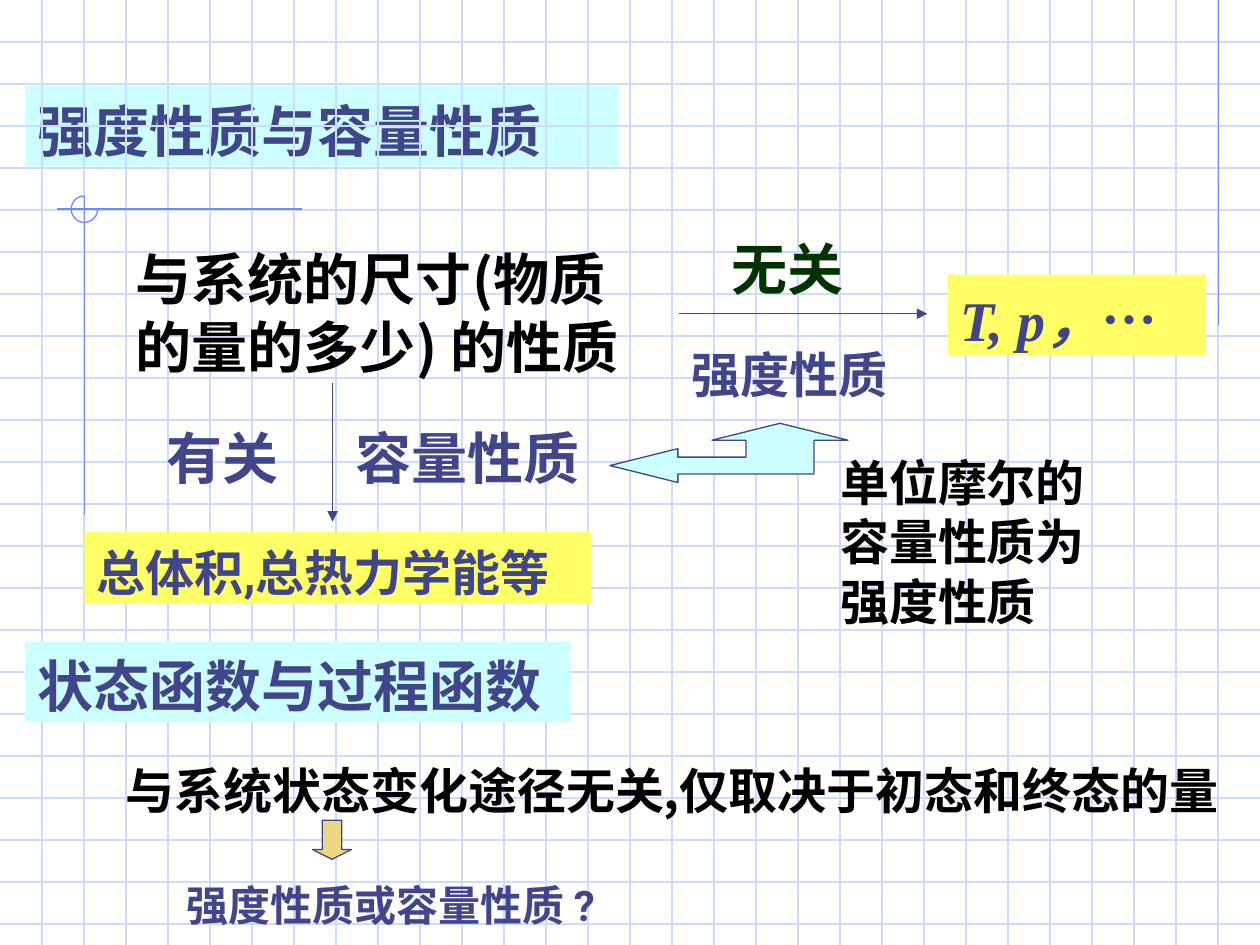
from lxml import etree
from pptx import Presentation
from pptx import util as u
from pptx.dml.color import RGBColor
from pptx.enum import lang, shapes, text
from pptx.oxml import ns

Inches, Pt = u.Inches, u.Pt
COLORS = {"ink": "40458C", "black": "000000", "green": "003300", "aqua": "CCFFFF",
          "yellow": "FFFF66", "gold": "ECD882", "grid": "CFDBFD", "rule": "6F89F7"}
SANS, CJK, SERIF = "Roboto", "Noto Sans CJK SC", "Times New Roman"
WIDTH, HEIGHT, STEP = 10, 7.5, 1 / 3


def rgb(name):
    return RGBColor.from_string(COLORS[name])


def child(parent, tag, **attrs):
    return etree.SubElement(parent, ns.qn(tag), attrs)


def paint(sp, fill=None, line=None):
    """Set fill and outline, with None for no paint."""
    if fill:
        sp.fill.solid()
        sp.fill.fore_color.rgb = rgb(fill)
    else:
        sp.fill.background()
    if line:
        sp.line.color.rgb = rgb(line)
        sp.line.width = Pt(0.75)
    else:
        sp.line.fill.background()


def add_line(s, x1, y1, x2, y2, color="ink", arrow=False):
    line = s.shapes.add_connector(shapes.MSO_CONNECTOR.STRAIGHT,
                                  Inches(x1), Inches(y1), Inches(x2), Inches(y2))
    line.line.color.rgb = rgb(color)
    line.line.width = Pt(0.75)
    if arrow:
        child(line.line._get_or_add_ln(), "a:tailEnd", type="triangle")
    child(line._element.spPr, "a:effectLst")


def write(sp, runs, size=32, font=SANS, color="ink"):
    """Fill a shape with one paragraph of (text, italic) runs."""
    tf = sp.text_frame
    tf.word_wrap = True
    tf.auto_size = text.MSO_AUTO_SIZE.NONE
    tf.vertical_anchor = text.MSO_ANCHOR.TOP
    tf.margin_left, tf.margin_right = Inches(0.1), 0
    tf.margin_top, tf.margin_bottom = Inches(0.08), 0
    p = tf.paragraphs[0]
    p.alignment = text.PP_ALIGN.LEFT
    p.space_before = 0
    p.line_spacing = Pt(size * 1.21)
    for words, italic in runs:
        r = p.add_run()
        r.text = words
        f = r.font
        f.name, f.size, f.bold, f.italic = font, Pt(size), True, italic
        f.color.rgb = rgb(color)
        f.language_id = lang.MSO_LANGUAGE_ID.SIMPLIFIED_CHINESE
        child(r._r.get_or_add_rPr(), "a:ea", typeface=CJK)


def add_label(s, x, y, w, h, words, fill=None, **style):
    box = Inches(x), Inches(y), Inches(w), Inches(h)
    if fill:
        sp = s.shapes.add_shape(shapes.MSO_SHAPE.RECTANGLE, *box)
        sp.shadow.inherit = False
        paint(sp, fill)
    else:
        sp = s.shapes.add_textbox(*box)
    runs = [(words, False)] if isinstance(words, str) else words
    write(sp, runs, **style)


def add_background(s):
    for i in range(1, int(HEIGHT / STEP) + 1):
        add_line(s, 0, i * STEP, WIDTH, i * STEP, "grid")
    for i in range(1, round(WIDTH / STEP)):
        add_line(s, i * STEP, 0, i * STEP, HEIGHT, "grid")


def add_ornament(s, x, y):
    """Corner rules crossing near (x, y), with a three-quarter ring."""
    radius = 0.105
    add_line(s, 9.67, 0, 9.67, 2.58, "rule")
    add_line(s, x + 1.73, y, x - 0.22, y, "rule")
    add_line(s, x, y - radius, x, y + 2.43, "rule")
    ring = s.shapes.add_shape(shapes.MSO_SHAPE.ARC, Inches(x - radius), Inches(y - radius),
                              Inches(2 * radius), Inches(2 * radius))
    ring.shadow.inherit = False
    ring.adjustments[0] = 0
    ring.adjustments[1] = 270 * 0.6  # degrees in units of 60000 / 100000
    paint(ring, line="rule")


def add_heading(s, x, y, w, h, words):
    s.shapes.title._element.getparent().remove(s.shapes.title._element)
    body = s.placeholders[1]
    body.left, body.top, body.width, body.height = (Inches(v) for v in (x, y, w, h))
    paint(body, "aqua")
    pPr = body.text_frame.paragraphs[0]._p.get_or_add_pPr()
    pPr.set("marL", "0")
    pPr.set("indent", "0")
    child(pPr, "a:buNone")
    write(body, [(words, False)])


def add_double_arrow(s, x, y, w, h):
    """Bent arrow pointing left and up, on a grid of 14 by 7 units."""
    points = [(10, 0), (6, 2), (8, 2), (8, 4), (4, 4), (4, 3), (0, 5),
              (4, 7), (4, 6), (12, 6), (12, 2), (14, 2)]
    outline = [(Inches(x + w * px / 14), Inches(y + h * py / 7)) for px, py in points]
    builder = s.shapes.build_freeform(*outline[0])
    builder.add_line_segments(outline[1:], close=True)
    sp = builder.convert_to_shape()
    sp.shadow.inherit = False
    paint(sp, "aqua", "ink")


def add_properties(s, x, y):
    """Diagram of intensive and extensive properties."""
    add_label(s, x + 0.31, y, 4.25, 1.7, "与系统的尺寸(物质的量的多少) 的性质",
              font=CJK, color="black")
    add_label(s, x + 6.85, y + 0.32, 2.05, 0.64, [("T, p，", True), ("…", False)],
              "yellow", font=SERIF)
    add_line(s, x + 4.72, y + 0.63, x + 6.69, y + 0.63, arrow=True)
    add_label(s, x + 5.04, y - 0.08, 1.34, 0.64, "无关", color="green")
    add_label(s, x + 4.72, y + 0.79, 1.89, 0.57, "强度性质", size=28)
    add_line(s, x + 1.97, y + 1.18, x + 1.97, y + 2.28, arrow=True)
    add_label(s, x + 0.55, y + 1.42, 1.1, 0.64, "有关")
    add_label(s, x + 2.05, y + 1.42, 2.13, 0.64, "容量性质")
    add_label(s, x, y + 2.36, 4.02, 0.57, "总体积,总热力学能等", "yellow", size=28)
    add_double_arrow(s, x + 4.17, y + 1.5, 1.89, 0.47)
    add_label(s, x + 5.9, y + 1.65, 2.36, 1.5, "单位摩尔的容量性质为强度性质",
              size=28, font=SERIF, color="black")


def add_functions(s, x, y):
    """State and process functions, with the closing question."""
    add_label(s, x, y, 4.33, 0.64, "状态函数与过程函数", "aqua")
    add_label(s, x + 0.7, y + 0.86, 9.1, 1.04,
              "与系统状态变化途径无关,仅取决于初态和终态的量",
              size=28, font=CJK, color="black")
    arrow = s.shapes.add_shape(shapes.MSO_SHAPE.DOWN_ARROW, Inches(x + 2.28),
                               Inches(y + 1.42), Inches(0.31), Inches(0.31))
    arrow.shadow.inherit = False
    arrow.adjustments[0], arrow.adjustments[1] = 0.5, 0.25
    paint(arrow, "gold", "ink")
    add_label(s, x + 1.18, y + 1.81, 3.55, 0.5, "强度性质或容量性质 ?", size=24)


def main():
    prs = Presentation()
    prs.slide_width, prs.slide_height = Inches(WIDTH), Inches(HEIGHT)
    s = prs.slides.add_slide(prs.slide_layouts[1])
    add_background(s)
    add_ornament(s, 0.67, 1.66)
    add_heading(s, 0.2, 0.68, 4.71, 0.64, "强度性质与容量性质")
    add_properties(s, 0.67, 1.86)
    add_functions(s, 0.2, 5.09)
    prs.save("out.pptx")


if __name__ == "__main__":
    main()
